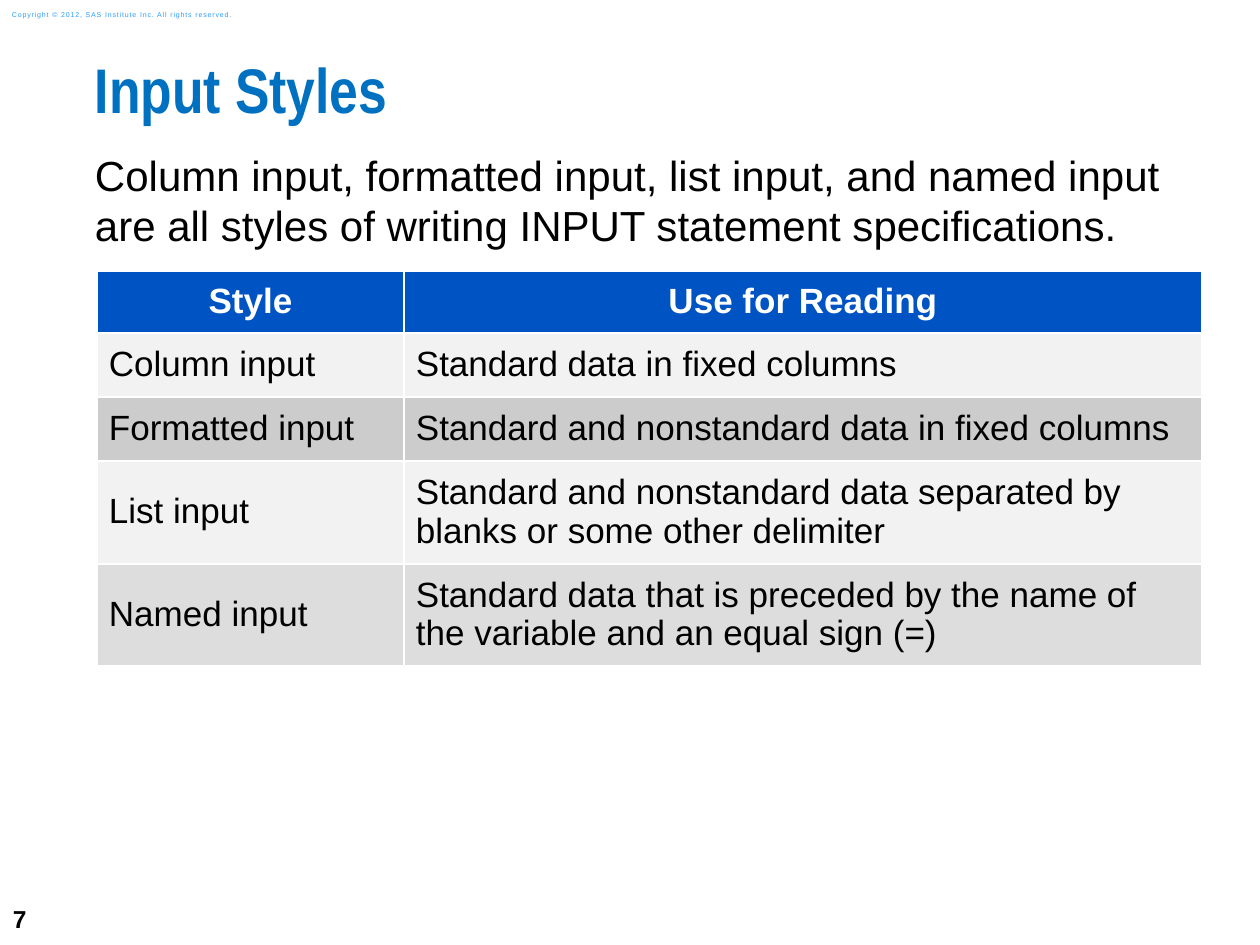
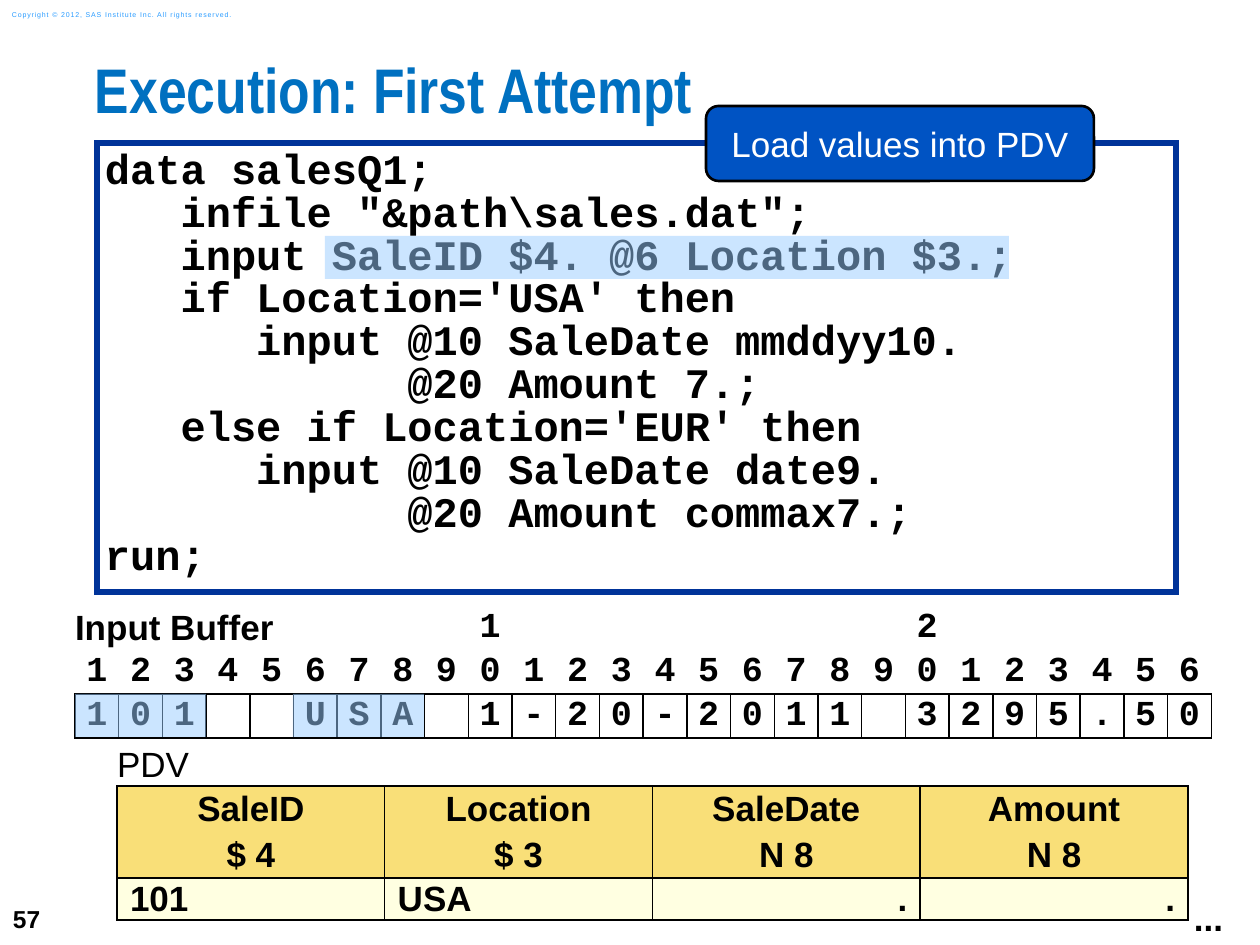
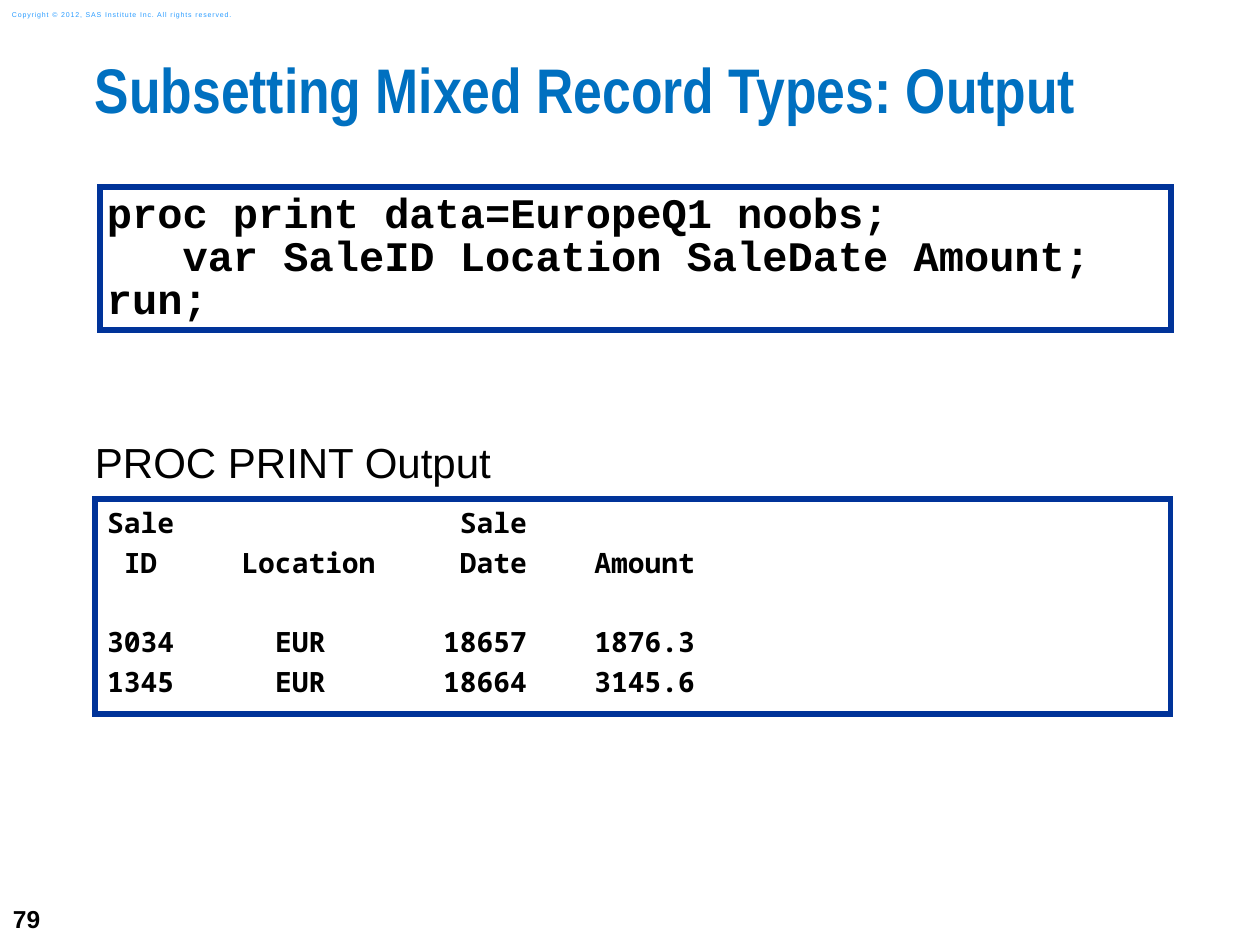
from lxml import etree
from pptx import Presentation
from pptx.dml.color import RGBColor
from pptx.enum.shapes import MSO_SHAPE
from pptx.enum.text import MSO_ANCHOR, PP_ALIGN
from pptx.oxml.ns import qn
from pptx.util import Pt

PX = 7257  # EMU per px, 126 px to the inch
RECT, ROUND = MSO_SHAPE.RECTANGLE, MSO_SHAPE.ROUNDED_RECTANGLE
TOP, MIDDLE = MSO_ANCHOR.TOP, MSO_ANCHOR.MIDDLE
LEFT, CENTER, RIGHT = PP_ALIGN.LEFT, PP_ALIGN.CENTER, PP_ALIGN.RIGHT
NO_TABLE_STYLE = "{2D5ABB26-0587-4C30-8999-92F81FD0307C}"

BLACK = RGBColor(0x00, 0x00, 0x00)
WHITE = RGBColor(0xFF, 0xFF, 0xFF)
TITLE_BLUE = RGBColor(0x00, 0x70, 0xC0)
COPYRIGHT_BLUE = RGBColor(0x2A, 0x9C, 0xFF)
FRAME_BLUE = RGBColor(0x00, 0x33, 0x99)
HEADER_BLUE = RGBColor(0x00, 0x53, 0xC3)
HIGHLIGHT = RGBColor(0x99, 0xCC, 0xFF)
LIGHT_GREY = RGBColor(0xF2, 0xF2, 0xF2)
MID_GREY = RGBColor(0xDD, 0xDD, 0xDD)
DARK_GREY = RGBColor(0xCC, 0xCC, 0xCC)
GOLD = RGBColor(0xF9, 0xDF, 0x78)
CREAM = RGBColor(0xFF, 0xFF, 0xE1)

TITLE = dict(size=36, color=TITLE_BLUE, font="Arial Narrow", bold=True, spacing=0.83)
COPYRIGHT = dict(size=4, color=COPYRIGHT_BLUE)
NUMBER = dict(size=14, bold=True)
BODY = dict(size=24)
CODE = dict(size=24, font="Courier New", bold=True, spacing=0.85)
LISTING = dict(size=16, font="Noto Sans Mono", bold=True, before=3.5)
CALLOUT = dict(size=20, color=WHITE, align=CENTER)


def write(tf, lines, size=20, color=BLACK, font="Arial", bold=False,
          align=LEFT, spacing=1.0, before=0):
    """Fill a text frame, one paragraph a line; before is the gap between them."""
    for i, line in enumerate(lines):
        p = tf.add_paragraph() if i else tf.paragraphs[0]
        p.alignment = align
        p.line_spacing = spacing
        p.space_before = Pt(before if i else 0)
        for k, part in enumerate(line.split("\n")):
            if k:
                p.add_line_break()
            r = p.add_run()
            r.text = part
            r.font.size = Pt(size)
            r.font.name = font
            r.font.bold = bold
            r.font.color.rgb = color


def style_cell(cell, fill=None, sides="", line=BLACK, inset=(0, 0)):
    """Set fill, margins and 1 pt borders on the sides named by L, R, T and B."""
    cell.vertical_anchor = MIDDLE
    cell.margin_left = cell.margin_right = inset[0] * PX
    cell.margin_top = cell.margin_bottom = inset[1] * PX
    tcPr = cell._tc.get_or_add_tcPr()
    for side in sides:
        ln = etree.SubElement(tcPr, qn("a:ln" + side), w=str(Pt(1)))
        solid = etree.SubElement(ln, qn("a:solidFill"))
        etree.SubElement(solid, qn("a:srgbClr"), val=str(line))
    if fill is None:
        cell.fill.background()
    else:
        cell.fill.solid()
        cell.fill.fore_color.rgb = fill


prs = Presentation()
prs.slide_width, prs.slide_height = 1260 * PX, 945 * PX
styles, execution, output = [prs.slides.add_slide(prs.slide_layouts[6]) for _ in range(3)]

# Text boxes: slide, place, inset, anchor, lines, style
texts = []
for s, title, number in [(styles, "Input Styles", "7"),
                         (execution, "Execution: First Attempt", "57"),
                         (output, "Subsetting Mixed Record Types: Output", "79")]:
    texts += [
        (s, (0, 892, 73, 53), (13, 6), MIDDLE, [number], NUMBER),
        (s, (0, 4, 266, 21), (12, 6), MIDDLE,
         ["Copyright © 2012, SAS Institute Inc. All rights reserved."], COPYRIGHT),
        (s, (95, 63, 1165, 93), (0, 0), TOP, [title], TITLE),
    ]
texts += [
    (styles, (95, 149, 1081, 110), (0, 0), TOP,
     ["Column input, formatted input, list input, and named input\n"
      "are all styles of writing INPUT statement specifications."], BODY),
    (execution, (1182, 890, 74, 55), (12, 6), TOP, ["..."], dict(bold=True)),
    (output, (95, 436, 1081, 55), (0, 0), TOP, ["PROC PRINT Output"], BODY),
]
for s, place, inset, anchor, lines, style in texts:
    tf = s.shapes.add_textbox(*[v * PX for v in place]).text_frame
    tf.margin_left = tf.margin_right = inset[0] * PX
    tf.margin_top = tf.margin_bottom = inset[1] * PX
    tf.vertical_anchor = anchor
    tf.word_wrap = True
    write(tf, lines, **style)
    if style is COPYRIGHT:
        tf.paragraphs[0].runs[0].font._element.set("spc", "50")

# Framed boxes: slide, shape, place, fill, line, line width, inset, anchor, lines, style
salesq1_code = [
    "data salesQ1;",
    '   infile "&path\\sales.dat";',
    "   input SaleID $4. @6 Location $3.;",
    "   if Location='USA' then",
    "      input @10 SaleDate mmddyy10.",
    "            @20 Amount 7.;",
    "   else if Location='EUR' then",
    "      input @10 SaleDate date9.",
    "            @20 Amount commax7.;",
    "run;",
]
print_code = [
    "proc print data=EuropeQ1 noobs;",
    "   var SaleID Location SaleDate Amount;",
    "run;",
]
print_listing = [
    "\tSale\t\tSale",
    "\tID\tLocation\tDate\tAmount",
    "\t3034\tEUR\t18657\t1876.3",
    "\t1345\tEUR\t18664\t3145.6",
]
frames = [
    (execution, RECT, (97, 143, 1079, 449), WHITE, FRAME_BLUE, 3, (8, 7), TOP,
     salesq1_code, CODE),
    (execution, ROUND, (706, 106, 388, 75), HEADER_BLUE, BLACK, 1.5, (13, 13), MIDDLE,
     ["Load values into PDV"], CALLOUT),
    (output, RECT, (100, 187, 1071, 143), WHITE, FRAME_BLUE, 3, (7, 7), TOP,
     print_code, CODE),
    (output, RECT, (95, 499, 1076, 215), WHITE, FRAME_BLUE, 3, (12, 7), TOP,
     print_listing, LISTING),
]
for s, kind, place, fill, line, width, inset, anchor, lines, style in frames:
    sp = s.shapes.add_shape(kind, *[v * PX for v in place])
    sp.shadow.inherit = False
    sp.fill.solid()
    sp.fill.fore_color.rgb = fill
    sp.line.color.rgb = line
    sp.line.width = Pt(width)
    etree.SubElement(sp._element.spPr.find(qn("a:ln")), qn("a:miter"), lim="800000")
    tf = sp.text_frame
    tf.word_wrap = True
    tf.vertical_anchor = anchor
    tf.margin_left = tf.margin_right = inset[0] * PX
    tf.margin_top = tf.margin_bottom = inset[1] * PX
    write(tf, lines, **style)

# Column stops of the listing, counted in characters of 9.6 pt
listing_paragraphs = tf.paragraphs
for p, location_middle in zip(listing_paragraphs, (12, 12, 11.5, 11.5)):
    tabs = etree.SubElement(p._p.get_or_add_pPr(), qn("a:tabLst"))
    for chars, align in [(2, "ctr"), (location_middle, "ctr"), (25, "r"), (35, "r")]:
        etree.SubElement(tabs, qn("a:tab"), pos=str(Pt(chars * 9.6)), algn=align)
listing_paragraphs[2].space_before = Pt(26)

# Tables
tables = []
for s, rows, cols, place in [(styles, 5, 2, (97, 271, 1104, 395)),
                             (execution, 3, 26, (75, 606, 1137, 132)),
                             (execution, 3, 4, (117, 744, 1071, 176))]:
    frame = s.shapes.add_table(rows, cols, *[v * PX for v in place])
    table = frame.table
    table.first_row = table.horz_banding = False
    table._tbl.tblPr.find(qn("a:tableStyleId")).text = NO_TABLE_STYLE
    tables.append(table)
style_table, buffer_table, pdv_table = tables

for column, width in zip(style_table.columns, (307, 798)):
    column.width = width * PX
style_rows = [
    (62, HEADER_BLUE, "Style", "Use for Reading"),
    (64, LIGHT_GREY, "Column input", "Standard data in fixed columns"),
    (64, DARK_GREY, "Formatted input", "Standard and nonstandard data in fixed columns"),
    (103, LIGHT_GREY, "List input",
     "Standard and nonstandard data separated by blanks or some other delimiter"),
    (102, MID_GREY, "Named input",
     "Standard data that is preceded by the name of the variable and an equal sign (=)"),
]
for i, (height, fill, *words) in enumerate(style_rows):
    style_table.rows[i].height = height * PX
    for j, text in enumerate(words):
        cell = style_table.cell(i, j)
        style_cell(cell, fill, "LRTB", WHITE, (12, 9))
        if i == 0:
            write(cell.text_frame, [text], color=WHITE, bold=True, align=CENTER, spacing=0.98)
        else:
            write(cell.text_frame, [text], spacing=0.98)

record = "101  USA 1-20-2011 3295.50"
for j, char in enumerate(record):
    position = j + 1
    tens = str(position // 10) if position % 10 == 0 else ""
    for i, text in enumerate([tens, str(position % 10), char.strip()]):
        cell = buffer_table.cell(i, j)
        style_cell(cell, sides=("", "B", "LRTB")[i])
        if text:
            write(cell.text_frame, [text], font="Courier New", bold=True, align=CENTER)
buffer_title = buffer_table.cell(0, 0)
buffer_title.merge(buffer_table.cell(0, 8))
write(buffer_title.text_frame, ["Input Buffer"], bold=True)

for row, height in zip(pdv_table.rows, (42, 92, 42)):
    row.height = height * PX
pdv_title = pdv_table.cell(0, 0)
pdv_title.merge(pdv_table.cell(0, 3))
for j in range(4):
    style_cell(pdv_table.cell(0, j), WHITE, "B")
write(pdv_title.text_frame, ["PDV"])
variables = [("SaleID", "$ 4", "101", LEFT), ("Location", "$ 3", "USA", LEFT),
             ("SaleDate", "N 8", ".", RIGHT), ("Amount", "N 8", ".", RIGHT)]
for j, (name, kind, value, align) in enumerate(variables):
    head, data = pdv_table.cell(1, j), pdv_table.cell(2, j)
    style_cell(head, GOLD, "LRTB", inset=(13, 0))
    style_cell(data, CREAM, "LRTB", inset=(13, 0))
    write(head.text_frame, [name, kind], bold=True, align=CENTER, before=4)
    write(data.text_frame, [value], bold=True, align=align)

# Half-transparent highlights over the code and the buffer
for place in [(325, 236, 684, 43), (75, 694, 131, 43), (293, 694, 131, 43)]:
    sp = execution.shapes.add_shape(RECT, *[v * PX for v in place])
    sp.shadow.inherit = False
    sp.fill.solid()
    sp.fill.fore_color.rgb = HIGHLIGHT
    sp.line.fill.background()
    rgb = sp._element.spPr.find(qn("a:solidFill")).find(qn("a:srgbClr"))
    etree.SubElement(rgb, qn("a:alpha"), val="50000")

prs.save("out.pptx")
